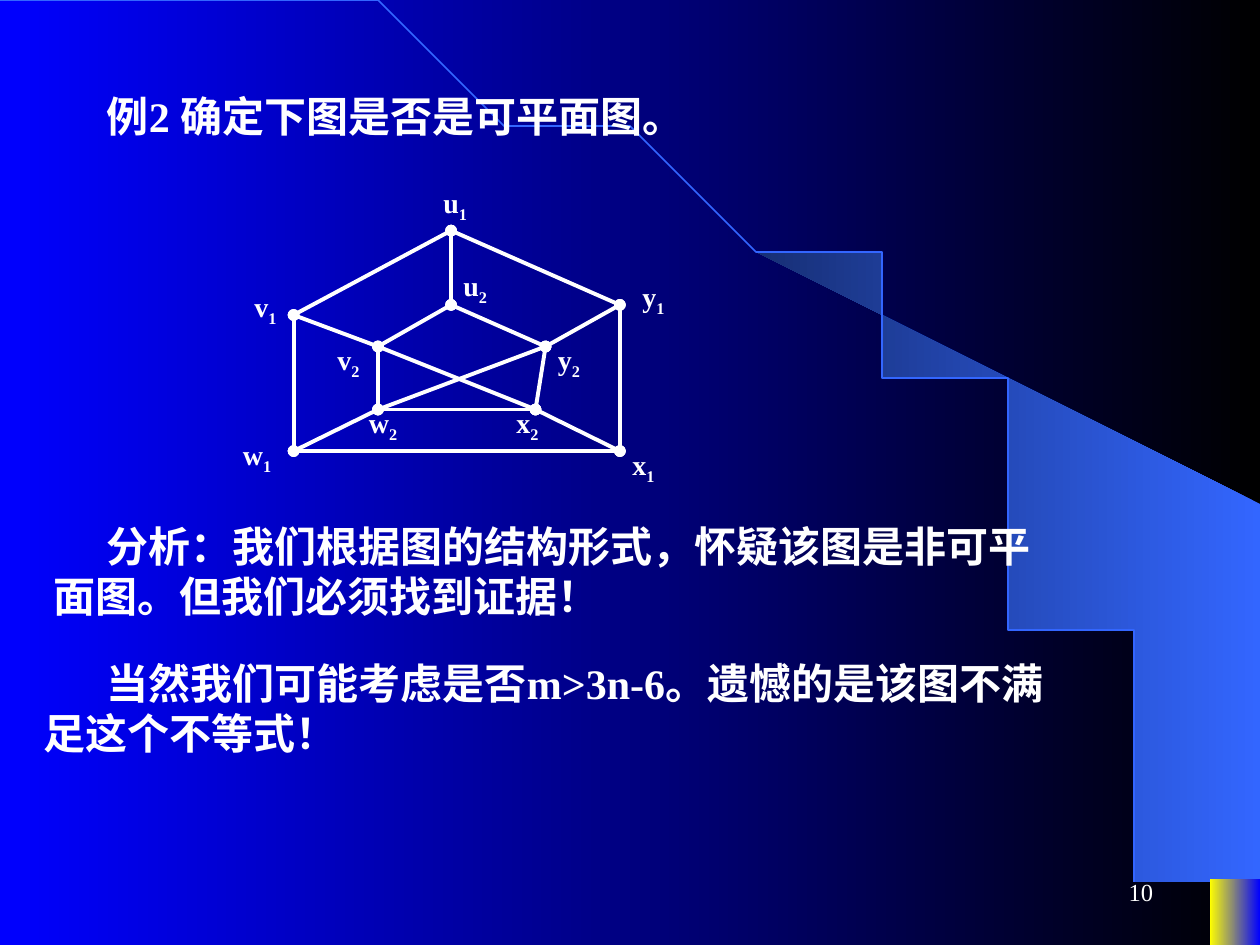
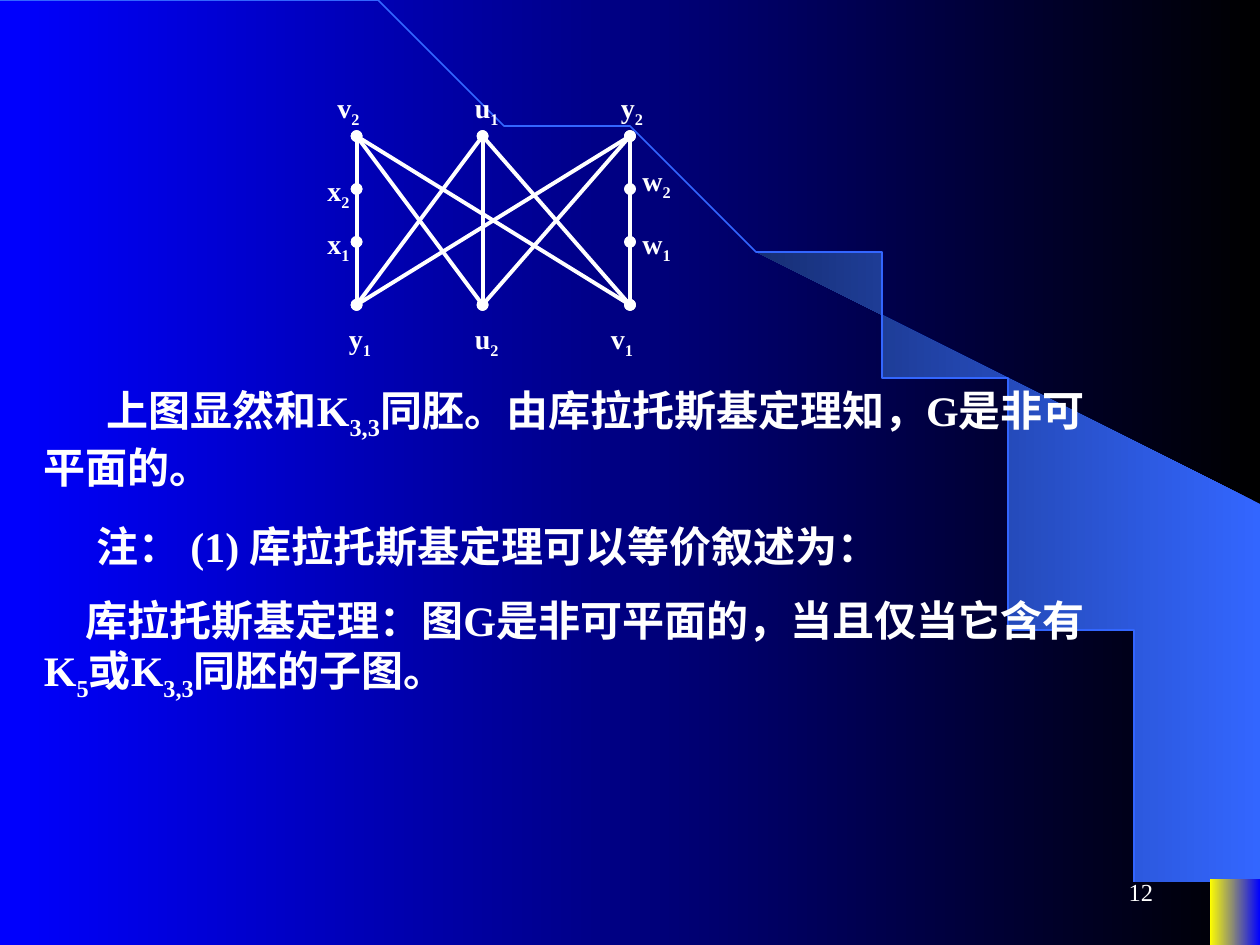
"""Build two slides on testing whether a graph is planar."""
from math import acos, cos, sin

from lxml.etree import SubElement
from pptx import Presentation
from pptx.dml.color import RGBColor
from pptx.enum.lang import MSO_LANGUAGE_ID
from pptx.enum.shapes import MSO_CONNECTOR, MSO_SHAPE
from pptx.enum.text import MSO_ANCHOR, MSO_AUTO_SIZE, PP_ALIGN
from pptx.oxml.ns import qn
from pptx.util import Inches, Pt

COLORS = {
    "night": "000000",
    "blue": "0000FF",
    "arc": "3366FF",
    "band_dark": "172F75",
    "yellow": "FFFF00",
    "white": "FFFFFF",
}
FONT = "Times New Roman"
ARC_WIDTH, ARC_HEIGHT = 9.2, 7.49
BAND_RIGHT, BAND_TOP_LEFT, BAND_TOP_RIGHT = 9.99, 5.89, 4.23
LEFT, MIDDLE, RIGHT = 2.83, 3.83, 5
TOP, UPPER, LOWER, BOTTOM = 1.08, 1.5, 1.92, 2.42

# Text between bars is subscript; a vertex holds its point and its label's corner.
SLIDES = [
    {
        "number": "10",
        "paragraphs": [
            ("例2 确定下图是否是可平面图。", (0.33, 0.67, 8.25, 0.5), 0.42),
            ("分析：我们根据图的结构形式，怀疑该图是非可平面图。但我们必须找到证据！",
             (0.33, 4.08, 8.25, 0.9), 0.42),
            ("当然我们可能考虑是否m>3n-6。遗憾的是该图不满足这个不等式！",
             (0.25, 5.17, 8.25, 0.9), 0.5),
        ],
        "vertices": {
            "u1": ((3.58, 1.83), (3.42, 1.42)),
            "u2": ((3.58, 2.42), (3.58, 2.08)),
            "v1": ((2.33, 2.5), (1.92, 2.25)),
            "v2": ((3, 2.75), (2.58, 2.67)),
            "y1": ((4.92, 2.42), (5, 2.17)),
            "y2": ((4.33, 2.75), (4.33, 2.67)),
            "x1": ((4.92, 3.58), (4.92, 3.5)),
            "x2": ((4.25, 3.25), (4, 3.17)),
            "w1": ((2.33, 3.58), (1.83, 3.42)),
            "w2": ((3, 3.25), (2.83, 3.17)),
        },
        "edges": "u1-v1 u1-y1 v1-w1 w1-x1 y1-x1 u2-v2 u2-y2 v2-w2 w2-x2 "
                 "y2-x2 y1-y2 y2-w2 w2-w1 v1-v2 v2-x2 x2-x1 u1-u2",
    },
    {
        "number": "12",
        "paragraphs": [
            ("上图显然和K|3,3|同胚。由库拉托斯基定理知，G是非可平面的。",
             (0.25, 3, 8.75, 0.96), 0.5),
            ("注： (1) 库拉托斯基定理可以等价叙述为：", (0.17, 4.08, 8.75, 0.5), 0.5),
            ("库拉托斯基定理：图G是非可平面的，当且仅当它含有K|5|或K|3,3|同胚的子图。",
             (0.25, 4.67, 8.5, 0.96), 0.33),
        ],
        "vertices": {
            "u1": ((MIDDLE, TOP), (3.67, 0.67)),
            "u2": ((MIDDLE, BOTTOM), (3.67, 2.5)),
            "v1": ((RIGHT, BOTTOM), (4.75, 2.5)),
            "v2": ((LEFT, TOP), (2.58, 0.67)),
            "y1": ((LEFT, BOTTOM), (2.67, 2.5)),
            "y2": ((RIGHT, TOP), (4.83, 0.67)),
            "x1": ((LEFT, LOWER), (2.5, 1.75)),
            "x2": ((LEFT, UPPER), (2.5, 1.33)),
            "w1": ((RIGHT, LOWER), (5, 1.75)),
            "w2": ((RIGHT, UPPER), (5, 1.25)),
        },
        "edges": "u1-u2 v2-x2 x2-x1 x1-y1 y2-w2 w2-w1 w1-v1 "
                 "u1-y1 u1-v1 y2-y1 y2-u2 v2-u2 v2-v1",
    },
]


def color(name):
    return RGBColor.from_string(COLORS[name])


def set_gradient(fill, right, left):
    fill.gradient()
    fill.gradient_angle = 180
    for stop, name in zip(fill.gradient_stops, (right, left)):
        stop.color.rgb = color(name)


def add_text(shapes, text, box, size=24, bold=True, indent=0, space_before=0,
             align=PP_ALIGN.LEFT, anchor=MSO_ANCHOR.TOP, grow=True):
    frame = shapes.add_textbox(*map(Inches, box)).text_frame
    frame.word_wrap = True
    frame.vertical_anchor = anchor
    frame.auto_size = MSO_AUTO_SIZE.SHAPE_TO_FIT_TEXT if grow else MSO_AUTO_SIZE.NONE
    paragraph = frame.paragraphs[0]
    paragraph.alignment = align
    paragraph.space_before = Pt(space_before)
    paragraph._p.get_or_add_pPr().set("indent", str(Inches(indent)))
    for index, part in enumerate(text.split("|")):
        if not part:
            continue
        run = paragraph.add_run()
        run.text = part
        run.font.name = FONT
        run.font.size = Pt(size)
        run.font.bold = bold
        run.font.color.rgb = color("white")
        run.font.language_id = MSO_LANGUAGE_ID.SIMPLIFIED_CHINESE
        if index % 2:
            run._r.get_or_add_rPr().set("baseline", "-25000")


def arc_points(start_x, steps=60):
    start = acos(start_x / ARC_WIDTH)
    angles = [start * (1 - step / steps) for step in range(steps + 1)]
    return [(ARC_WIDTH * cos(angle), ARC_HEIGHT * (1 - sin(angle))) for angle in angles]


def add_outline(slide, points, close):
    builder = slide.shapes.build_freeform(*points[0], scale=Inches(1))
    builder.add_line_segments(points[1:], close=close)
    shape = builder.convert_to_shape()
    shape.shadow.inherit = False
    return shape


def add_backdrop(slide):
    set_gradient(slide.background.fill, "night", "blue")
    corners = [(BAND_RIGHT, ARC_HEIGHT), (BAND_RIGHT, BAND_TOP_RIGHT)]
    band = add_outline(slide, arc_points(BAND_TOP_LEFT) + corners, True)
    set_gradient(band.fill, "arc", "band_dark")
    band.line.fill.background()
    arc = add_outline(slide, arc_points(0), False)
    arc.fill.background()
    arc.line.color.rgb = color("arc")
    arc.line.width = Pt(1)
    corner = slide.shapes.add_shape(
        MSO_SHAPE.RECTANGLE, *map(Inches, (9.6, 6.98, 0.4, 0.52)))
    corner.shadow.inherit = False
    set_gradient(corner.fill, "blue", "yellow")
    corner.line.fill.background()


def add_edge(shapes, start, end):
    edge = shapes.add_connector(MSO_CONNECTOR.STRAIGHT, *map(Inches, start + end))
    edge.line.color.rgb = color("white")
    edge.line.width = Pt(2.25)
    line = edge.line._get_or_add_ln()
    for tag in ("a:headEnd", "a:tailEnd"):
        SubElement(line, qn(tag), type="oval")
    SubElement(edge._element.spPr, qn("a:effectLst"))


def add_graph(slide, vertices, edges):
    shapes = slide.shapes.add_group_shape().shapes
    for edge in edges.split():
        start, end = edge.split("-")
        add_edge(shapes, vertices[start][0], vertices[end][0])
    for name, (_, corner) in vertices.items():
        width = 0.5 if name[0] == "w" else 0.43
        add_text(shapes, f"{name[0]}|{name[1]}", (*corner, width, 0.41), size=16)


def main():
    presentation = Presentation()
    presentation.slide_width = Inches(10)
    presentation.slide_height = Inches(7.5)
    for content in SLIDES:
        slide = presentation.slides.add_slide(presentation.slide_layouts[6])
        add_backdrop(slide)
        add_graph(slide, content["vertices"], content["edges"])
        for text, box, indent in content["paragraphs"]:
            add_text(slide.shapes, text, box, indent=indent, space_before=15)
        add_text(slide.shapes, content["number"], (7.17, 6.83, 2.08, 0.5), size=14,
                 bold=False, align=PP_ALIGN.RIGHT, anchor=MSO_ANCHOR.MIDDLE, grow=False)
    presentation.save("out.pptx")


if __name__ == "__main__":
    main()
